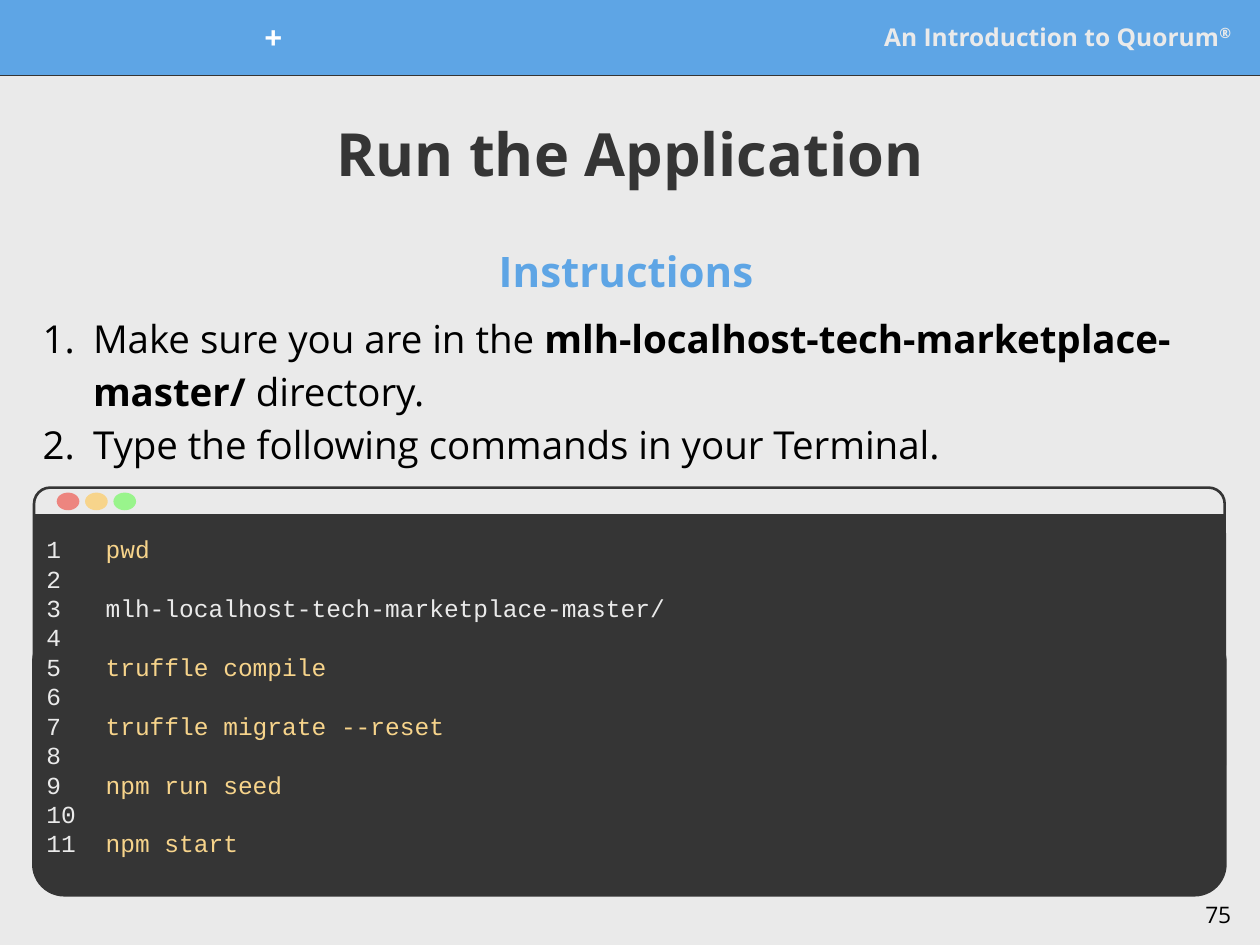
from pptx import Presentation
from pptx.dml.color import RGBColor
from pptx.enum.shapes import MSO_CONNECTOR, MSO_SHAPE
from pptx.enum.text import MSO_ANCHOR, PP_ALIGN
from pptx.oxml.ns import qn
from pptx.util import Inches, Pt
from lxml.etree import SubElement

PALE = RGBColor(0xEA, 0xEA, 0xEA)
BLUE = RGBColor(0x5E, 0xA5, 0xE5)
DARK = RGBColor(0x35, 0x35, 0x35)
WHITE = RGBColor(0xFF, 0xFF, 0xFF)
BLACK = RGBColor(0x00, 0x00, 0x00)
RED = RGBColor(0xED, 0x85, 0x7F)
YELLOW = RGBColor(0xF7, 0xD4, 0x8B)
GREEN = RGBColor(0x99, 0xF4, 0x8C)

SANS = "Open Sans"
MONO = "Courier New"
CODE_LINE = Pt(16.8)  # height of one line of code

COMMANDS = [
    ("pwd", YELLOW),
    ("mlh-localhost-tech-marketplace-master/", PALE),
    ("truffle compile", YELLOW),
    ("truffle migrate --reset", YELLOW),
    ("npm run seed", YELLOW),
    ("npm start", YELLOW),
]
STEPS = [
    [("Make sure you are in the ", False),
     ("mlh-localhost-tech-marketplace-master/ ", True),
     ("directory.", False)],
    [("Type the following commands in your Terminal.", False)],
]


def add_shape(slide, kind, box, fill=None, line=None, line_width=0.75, radius=None):
    shape = slide.shapes.add_shape(kind, *map(Inches, box))
    shape.shadow.inherit = False
    if radius is not None:
        shape.adjustments[0] = radius
    if fill is None:
        shape.fill.background()
    else:
        shape.fill.solid()
        shape.fill.fore_color.rgb = fill
    if line is None:
        shape.line.fill.background()
    else:
        shape.line.color.rgb = line
        shape.line.width = Pt(line_width)
    return shape


def add_frame(slide, box, anchor=MSO_ANCHOR.TOP, inset=0.1):
    text_frame = slide.shapes.add_textbox(*map(Inches, box)).text_frame
    text_frame.word_wrap = True
    text_frame.vertical_anchor = anchor
    text_frame.margin_left = text_frame.margin_right = Inches(inset)
    text_frame.margin_top = text_frame.margin_bottom = Inches(inset)
    return text_frame


def set_font(font, size, color, name=SANS, bold=False):
    font.size = Pt(size)
    font.name = name
    font.bold = bold
    font.color.rgb = color


def add_text(slide, box, text, size, color, name=SANS, bold=False,
             align=PP_ALIGN.LEFT, anchor=MSO_ANCHOR.TOP, inset=0.1):
    text_frame = add_frame(slide, box, anchor, inset)
    text_frame.text = text
    for paragraph in text_frame.paragraphs:
        paragraph.alignment = align
        for run in paragraph.runs:
            set_font(run.font, size, color, name, bold)
    return text_frame


def number_paragraph(paragraph):
    properties = paragraph._p.get_or_add_pPr()
    properties.set("marL", str(Inches(0.5)))
    properties.set("indent", str(Inches(-0.4)))
    color = SubElement(properties, qn("a:buClr"))
    SubElement(color, qn("a:srgbClr"), val=str(BLACK))
    SubElement(properties, qn("a:buFont"), typeface=SANS)
    SubElement(properties, qn("a:buAutoNum"), type="arabicPeriod")


def add_header(slide):
    rule = slide.shapes.add_connector(
        MSO_CONNECTOR.STRAIGHT, 0, Inches(0.59), Inches(10), Inches(0.59))
    rule.line.color.rgb = DARK
    rule.line.width = Pt(1.5)
    SubElement(rule._element.spPr, qn("a:effectLst"))
    add_shape(slide, MSO_SHAPE.RECTANGLE, (0, 0, 10, 0.59), BLUE, BLUE)

    course = add_text(slide, (6.59, 0.1, 3.28, 0.38), "An Introduction to Quorum",
                      14, PALE, bold=True, align=PP_ALIGN.RIGHT,
                      anchor=MSO_ANCHOR.MIDDLE)
    mark = course.paragraphs[0].add_run()
    mark.text = "®"
    set_font(mark.font, 14, PALE, bold=True)
    mark.font._element.set("baseline", "30000")

    add_text(slide, (1.98, 0.1, 0.38, 0.38), "+", 18, WHITE, bold=True,
             align=PP_ALIGN.CENTER, anchor=MSO_ANCHOR.MIDDLE)


def add_steps(slide):
    text_frame = add_frame(slide, (0.14, 2.27, 9.71, 1.61), MSO_ANCHOR.MIDDLE)
    for index, step in enumerate(STEPS):
        paragraph = text_frame.add_paragraph() if index else text_frame.paragraphs[0]
        paragraph.line_spacing = 1.15
        number_paragraph(paragraph)
        for text, bold in step:
            run = paragraph.add_run()
            run.text = text
            set_font(run.font, 22, BLACK, bold=bold)


def add_terminal(slide):
    # Window with a pale title bar and a dark body
    left, width = 0.27, 9.45
    add_shape(slide, MSO_SHAPE.ROUNDED_RECTANGLE, (left, 3.87, width, 2.33),
              line=DARK, line_width=1.5, radius=0.055)
    add_shape(slide, MSO_SHAPE.RECTANGLE, (left, 4.08, width, 2.78), DARK)
    add_shape(slide, MSO_SHAPE.ROUNDED_RECTANGLE, (left, 5.01, width, 2.09),
              DARK, DARK, 2.25, radius=0.115)

    # Window buttons
    for index, color in enumerate((RED, YELLOW, GREEN)):
        add_shape(slide, MSO_SHAPE.OVAL, (0.45 + index * 0.225, 3.91, 0.18, 0.14), color)

    # Commands on every second line
    text_frame = add_text(slide, (0.74, 4.14, 8.9, 3.16),
                          "\n".join(text for text, _ in COMMANDS), 14, YELLOW, MONO)
    for index, (_, color) in enumerate(COMMANDS):
        paragraph = text_frame.paragraphs[index]
        paragraph.runs[0].font.color.rgb = color
        if index:
            paragraph.space_before = CODE_LINE

    # Line numbers
    numbers = "\n".join(str(number) for number in range(1, 2 * len(COMMANDS)))
    add_text(slide, (left, 4.14, 0.47, 3.16), numbers, 14, PALE, MONO)


def main():
    presentation = Presentation()
    presentation.slide_width = Inches(10)
    presentation.slide_height = Inches(7.5)
    slide = presentation.slides.add_slide(presentation.slide_layouts[6])
    slide.background.fill.solid()
    slide.background.fill.fore_color.rgb = PALE

    add_header(slide)
    heading = add_text(slide, (3.86, 1.79, 2.28, 0.67), "Instructions", 24, BLUE, bold=True)
    heading.paragraphs[0].line_spacing = 1.15
    add_steps(slide)
    add_terminal(slide)

    # Page number and title
    add_text(slide, (9.27, 7.05, 0.6, 0.57), "75", 13, BLACK, align=PP_ALIGN.RIGHT)
    add_text(slide, (0.27, 0.86, 9.46, 0.71), "Run the Application", 34, DARK, bold=True,
             align=PP_ALIGN.CENTER, anchor=MSO_ANCHOR.MIDDLE, inset=0.04)

    presentation.save("out.pptx")


if __name__ == "__main__":
    main()
